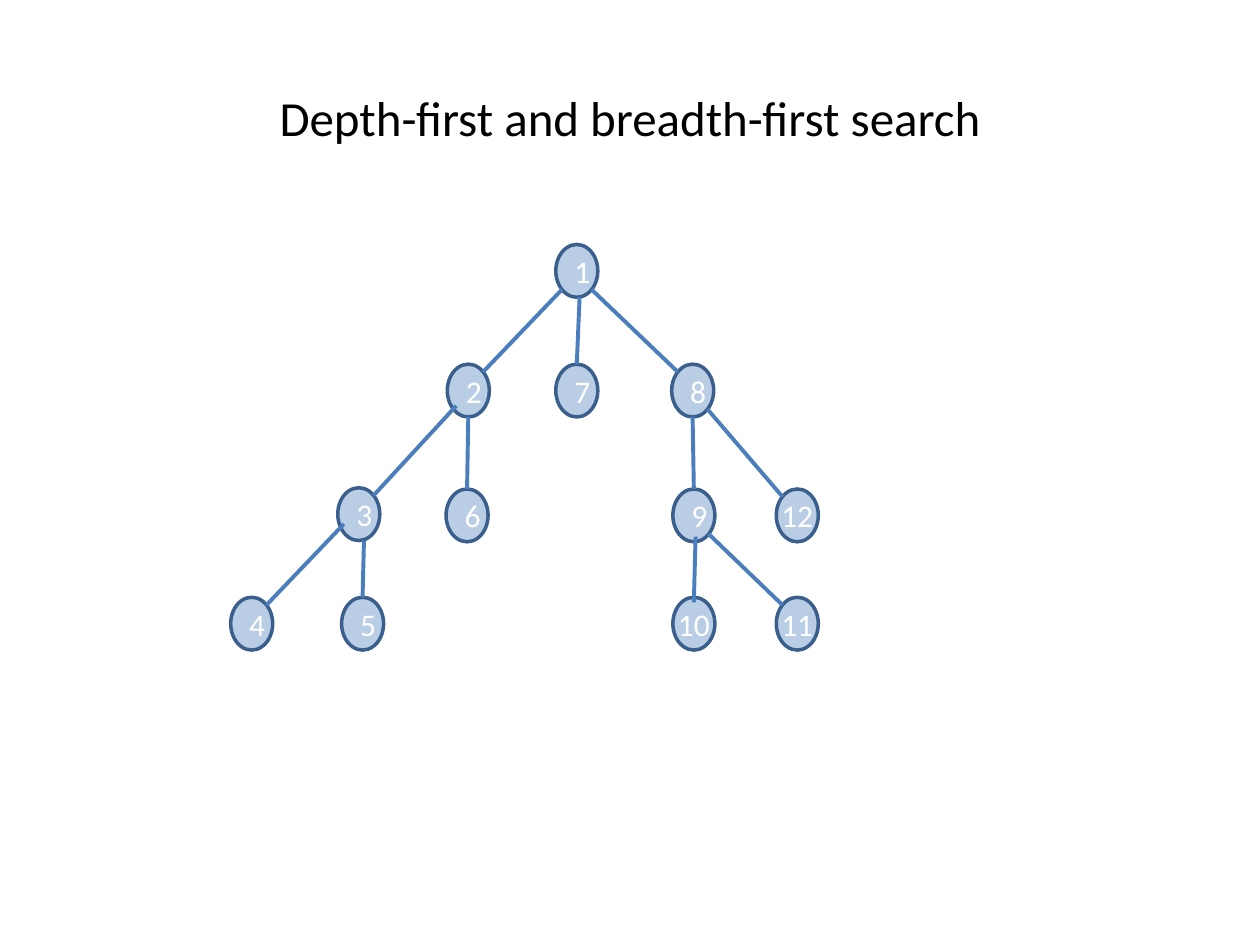
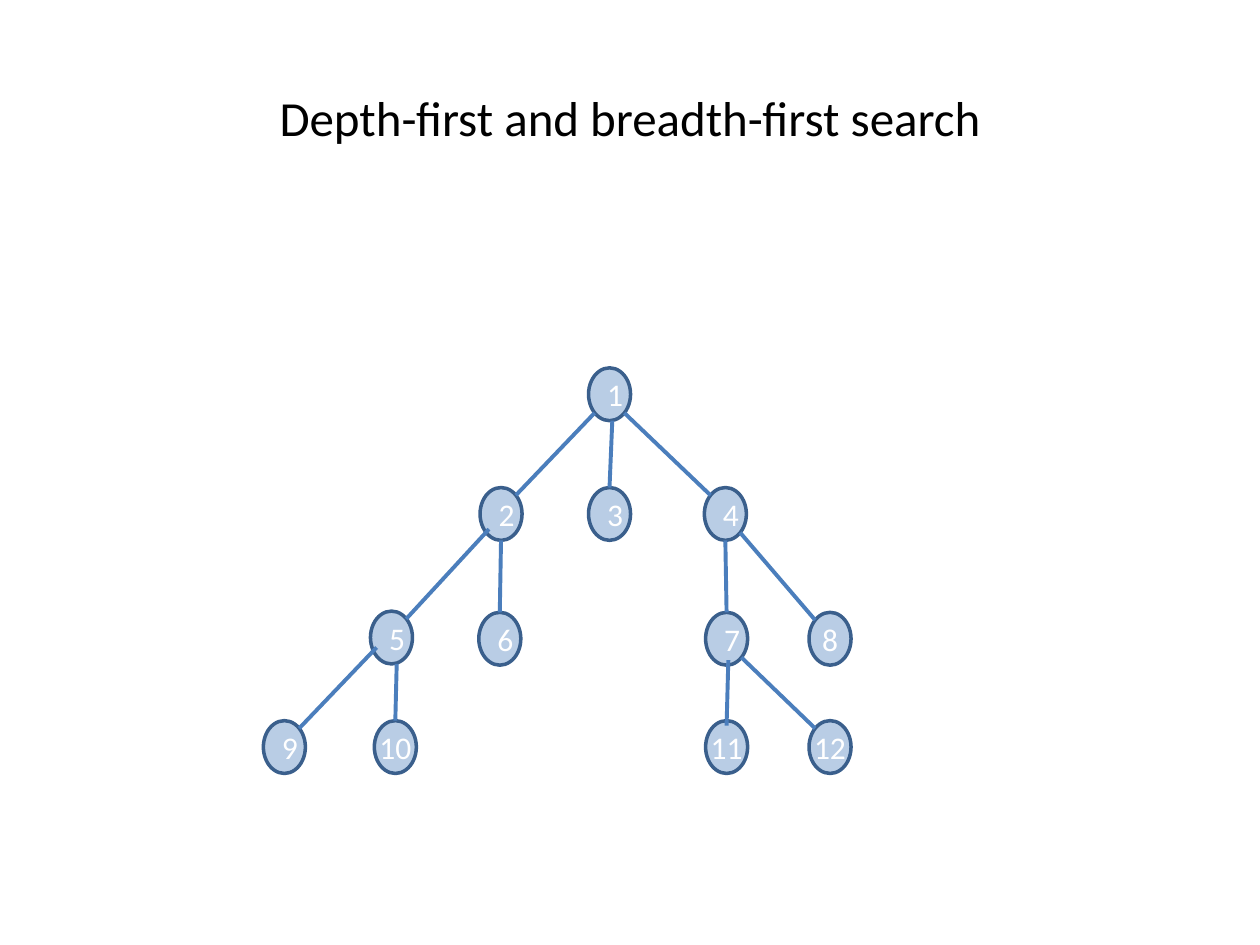
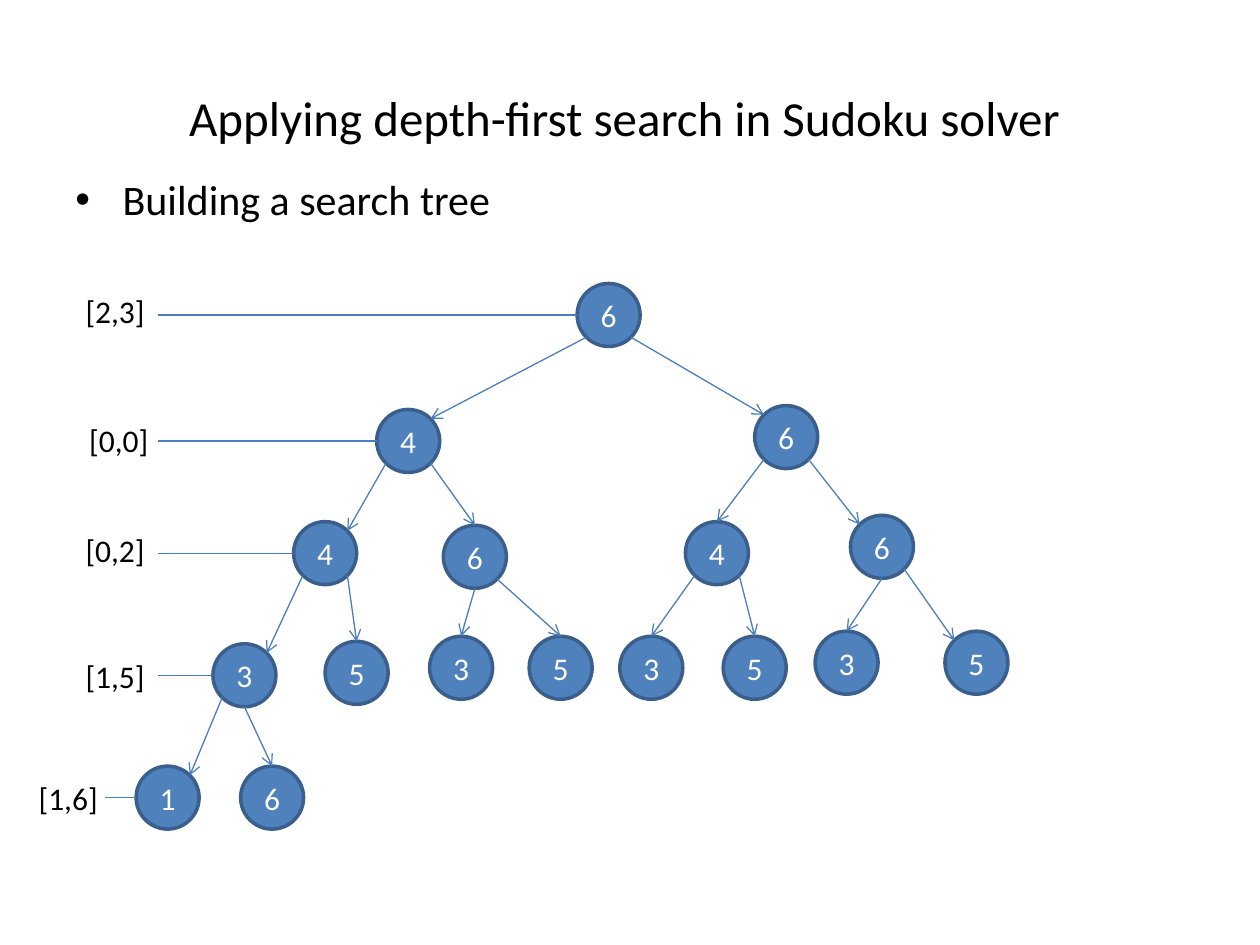
import collections

import pptx
import pptx.dml.color
import pptx.enum.shapes
import pptx.enum.text
import pptx.oxml.ns
import pptx.oxml.xmlchemy
import pptx.util
from lxml import etree

Pt = pptx.util.Pt
ALIGN = pptx.enum.text.PP_ALIGN
ANCHOR = pptx.enum.text.MSO_ANCHOR
FONT = "Calibri"
BLACK, WHITE = "000000", "FFFFFF"
PALE, BLUE, OUTLINE, LINK = "B9CDE5", "4F81BD", "3A5F8C", "4B7EBC"
TITLE_BOX = (36, 21.6, 648, 90)

Style = collections.namedtuple("Style", "width height fill link_weight arrow")
TRAVERSAL = Style(24, 30.2, PALE, 2.25, False)
SUDOKU = Style(36, 36, BLUE, 0.75, True)

Node = collections.namedtuple(
    "Node", "x y label parent leave enter nudge", defaults=(None, None, None, (0, 0, 0, 0)))

DIAGONAL = 0.3535
SITES = {
    "top": (0, -0.5), "bottom": (0, 0.5), "left": (-0.5, 0),
    "top left": (-DIAGONAL, -DIAGONAL), "top right": (DIAGONAL, -DIAGONAL),
    "bottom left": (-DIAGONAL, DIAGONAL), "bottom right": (DIAGONAL, DIAGONAL),
}

VISITED_TREE = {
    1: Node(185.8, 0, "1"),
    2: Node(123.8, 68.4, "2", 1, "bottom left", "top right"),
    3: Node(61.2, 139, "3", 2, "bottom left", "top right", (1.6, -2, 0, 0)),
    4: Node(0, 201.6, "4", 3, "bottom left", "top right", (0, -5, 0, 0)),
    5: Node(63.4, 201.6, "5", 3, "bottom", "top", (3, 0, 0, 0)),
    6: Node(123.1, 139.7, "6", 2, "bottom", "top"),
    7: Node(185.8, 68.4, "7", 1, "bottom", "top", (1.6, 0, 0, 0)),
    8: Node(252, 68.4, "8", 1, "bottom right", "top left"),
    9: Node(252.7, 139.7, "9", 8, "bottom", "top"),
    10: Node(252.7, 201.6, "10", 9, "bottom", "top", (1, -2.9, 0, 2.9)),
    11: Node(311.8, 201.6, "11", 9, "bottom right", "top left"),
    12: Node(311.8, 139.7, "12", 8, "bottom right", "top left"),
}
BREADTH_FIRST = dict(zip(VISITED_TREE, (1, 2, 5, 9, 10, 6, 3, 4, 7, 11, 12, 8)))

SUDOKU_TREE = {
    "root": Node(314.8, 0, "6"),
    "4": Node(200.3, 72, "4", "root", "bottom left", "top right"),
    "6": Node(416.3, 69.8, "6", "root", "bottom right", "top left"),
    "44": Node(152.8, 136.1, "4", "4", "bottom left", "top right"),
    "46": Node(238.4, 138.2, "6", "4", "bottom right", "top"),
    "64": Node(376.7, 136.1, "4", "6", "bottom left", "top"),
    "66": Node(471, 132.5, "6", "6", "bottom right", "top left"),
    "443": Node(106.7, 205.9, "3", "44", "bottom left", "top right"),
    "445": Node(170.8, 204.5, "5", "44", "bottom right", "top"),
    "463": Node(230.5, 201.6, "3", "46", "bottom", "top"),
    "465": Node(287.4, 201.6, "5", "46", "bottom right", "top"),
    "643": Node(339.2, 201.6, "3", "64", "bottom left", "top"),
    "645": Node(398.3, 201.6, "5", "64", "bottom right", "top"),
    "663": Node(450.8, 198.7, "3", "66", "bottom", "top"),
    "665": Node(525, 198.7, "5", "66", "bottom right", "top left"),
    "4431": Node(62.8, 275.8, "1", "443", "bottom left", "top right"),
    "4436": Node(122.5, 275.8, "6", "443", "bottom", "top"),
}
CELLS = [
    ("[2,3]", 26.8, 1.4, "root", 75),
    ("[0,0]", 28.9, 74.9, "4", 75),
    ("[0,2]", 26.8, 138.2, "44", 75),
    ("[1,5]", 26.8, 210.2, "443", 75),
    ("[1,6]", 0, 279.4, "4431", 44.8),
]


def color(value):
    """Turn a hex string into a colour."""
    return pptx.dml.color.RGBColor.from_string(value)


def write(shape, text, size, ink, align, anchor, wrap=True):
    """Put one formatted paragraph into a shape and return it."""
    frame = shape.text_frame
    frame.text = text
    frame.word_wrap = wrap
    frame.vertical_anchor = anchor
    paragraph = frame.paragraphs[0]
    paragraph.alignment = align
    font = paragraph.runs[0].font
    font.name, font.size, font.color.rgb = FONT, Pt(size), color(ink)
    return paragraph


def add_text(slide, box, text, size, align=ALIGN.LEFT, anchor=ANCHOR.TOP):
    """Add a text box and return its paragraph."""
    return write(slide.shapes.add_textbox(*map(Pt, box)), text, size, BLACK, align, anchor)


def add_title(slide, text):
    """Add the slide title."""
    add_text(slide, TITLE_BOX, text, 28, ALIGN.CENTER, ANCHOR.MIDDLE)


def add_bullet(slide, box, text):
    """Add one bulleted line with a hanging indent."""
    paragraph = add_text(slide, box, text, 24)
    paragraph.space_before = Pt(4.8)
    properties = paragraph._p.get_or_add_pPr()
    properties.set("marL", str(Pt(27)))
    properties.set("indent", str(-Pt(27)))
    font = etree.SubElement(properties, pptx.oxml.ns.qn("a:buFont"))
    font.set("typeface", "Arial")
    etree.SubElement(properties, pptx.oxml.ns.qn("a:buChar")).set("char", "•")


def add_link(slide, start, end, weight, arrow=False):
    """Draw a straight link, with an open arrowhead if asked."""
    link = slide.shapes.add_connector(
        pptx.enum.shapes.MSO_CONNECTOR.STRAIGHT, *map(Pt, (*start, *end)))
    link.line.color.rgb = color(LINK)
    link.line.width = Pt(weight)
    if arrow:
        head = etree.SubElement(link.line._get_or_add_ln(), pptx.oxml.ns.qn("a:tailEnd"))
        head.set("type", "arrow")
    etree.SubElement(link._element.spPr, pptx.oxml.ns.qn("a:effectLst"))


def site(origin, node, style, side, shift=(0, 0)):
    """Find a point on the rim of a node."""
    across, down = SITES[side]
    return (origin[0] + node.x + style.width * (0.5 + across) + shift[0],
            origin[1] + node.y + style.height * (0.5 + down) + shift[1])


def add_tree(slide, origin, nodes, style, labels=None):
    """Draw the nodes of a tree, then the links from parent to child."""
    for key, node in nodes.items():
        label = str(labels[key]) if labels else node.label
        circle = slide.shapes.add_shape(
            pptx.enum.shapes.MSO_SHAPE.OVAL, Pt(origin[0] + node.x), Pt(origin[1] + node.y),
            Pt(style.width), Pt(style.height))
        circle.shadow.inherit = False
        circle.fill.solid()
        circle.fill.fore_color.rgb = color(style.fill)
        circle.line.color.rgb = color(OUTLINE)
        circle.line.width = Pt(2)
        wrap = len(label) == 1 and len(node.label) == 1
        write(circle, label, 18, WHITE, ALIGN.CENTER, ANCHOR.MIDDLE, wrap)
    for node in nodes.values():
        if node.parent is not None:
            start = site(origin, nodes[node.parent], style, node.leave, node.nudge[:2])
            end = site(origin, node, style, node.enter, node.nudge[2:])
            add_link(slide, start, end, style.link_weight, style.arrow)


def add_cells(slide, origin):
    """Label each level of the Sudoku tree with its cell."""
    for text, x, y, key, line_x in CELLS:
        add_text(slide, (origin[0] + x, origin[1] + y, 54, 28.8), text, 18)
        rim = site(origin, SUDOKU_TREE[key], SUDOKU, "left")
        add_link(slide, rim, (origin[0] + line_x, rim[1]), SUDOKU.link_weight)


def traversal_slide(deck, origin, labels=None):
    """Build a slide with the tree numbered in order of visit."""
    slide = deck.slides.add_slide(deck.slide_layouts[6])
    add_title(slide, "Depth-first and breadth-first search")
    add_tree(slide, origin, VISITED_TREE, TRAVERSAL, labels)


def sudoku_slide(deck, origin):
    """Build the slide with the Sudoku search tree."""
    slide = deck.slides.add_slide(deck.slide_layouts[6])
    add_bullet(slide, (36, 95.8, 648, 41.8), "Building a search tree")
    add_title(slide, "Applying depth-first search in Sudoku solver ")
    add_tree(slide, origin, SUDOKU_TREE, SUDOKU)
    add_cells(slide, origin)


deck = pptx.Presentation()
deck.slide_width, deck.slide_height = Pt(720), Pt(540)
traversal_slide(deck, (131.8, 139.7))
traversal_slide(deck, (150.5, 210.2), BREADTH_FIRST)
sudoku_slide(deck, (15, 162))
deck.save("out.pptx")
